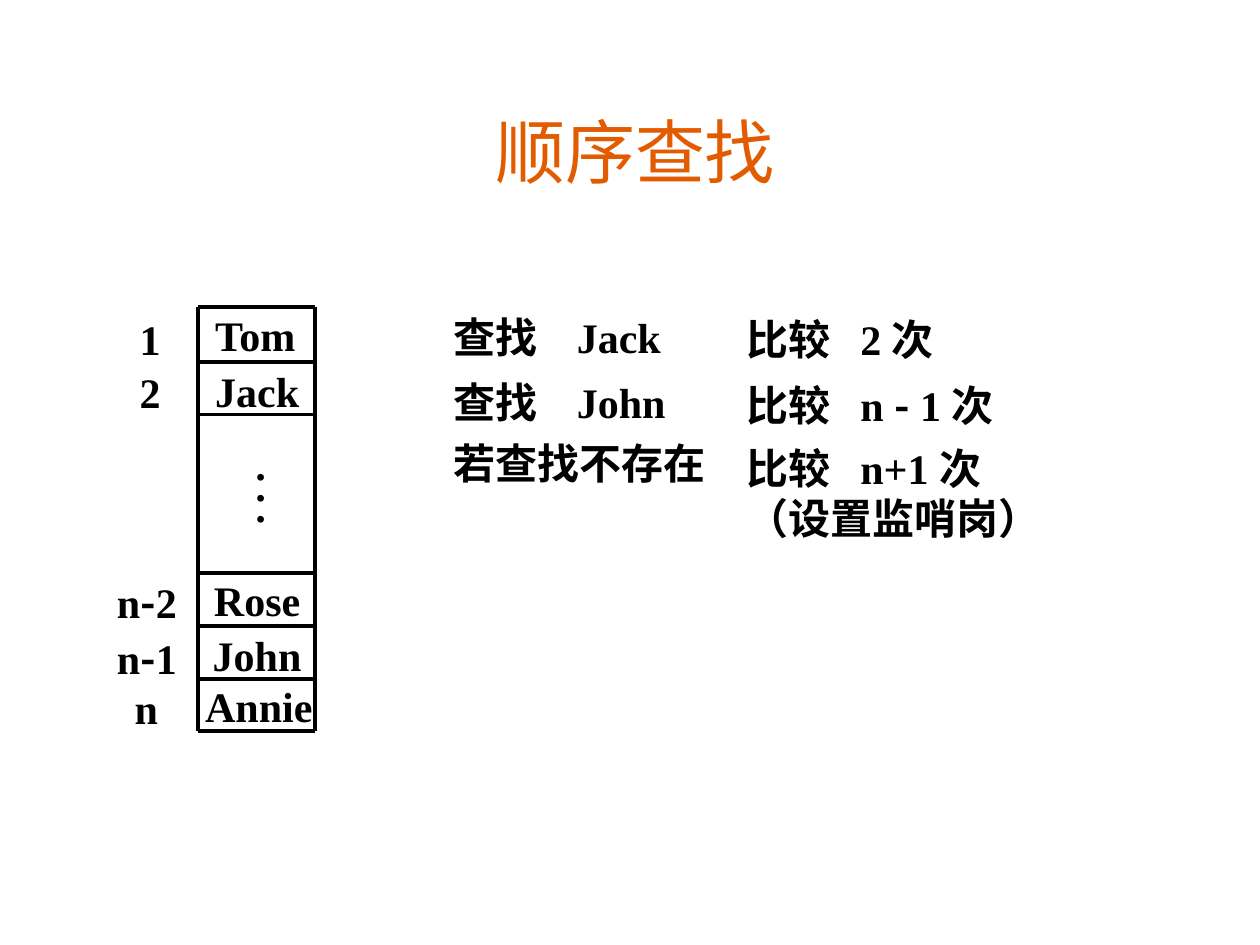
from lxml.etree import SubElement
from pptx import Presentation
from pptx.dml.color import RGBColor
from pptx.enum.shapes import MSO_CONNECTOR
from pptx.enum.text import MSO_ANCHOR, PP_ALIGN
from pptx.oxml.ns import qn
from pptx.util import Inches, Pt

BLACK = "000000"
ORANGE = "E25B00"
SERIF = "Times New Roman"
SANS = "Noto Sans CJK SC"


def color(value):
    return RGBColor.from_string(value)


def add_run(p, text, size, font, fill, bold):
    r = p.add_run()
    r.text = text
    r.font.size = Pt(size)
    r.font.name = font
    r.font.bold = bold
    r.font.color.rgb = color(fill)
    SubElement(r._r.get_or_add_rPr(), qn("a:ea")).set("typeface", SANS)


def add_text(slide, x, y, w, h, text, size=24, font=SERIF, fill=BLACK, bold=True, tab=None):
    s = slide.shapes.add_textbox(Inches(x), Inches(y), Inches(w), Inches(h))
    tf = s.text_frame
    tf.word_wrap = True
    p = tf.paragraphs[0]
    if tab:
        tabs = SubElement(p._p.get_or_add_pPr(), qn("a:tabLst"))
        SubElement(tabs, qn("a:tab"), pos=str(Inches(tab)), algn="l")
    before, dash, after = text.partition("-")
    for part, face in ((before, font), (dash, SANS), (after, font)):
        if part:
            add_run(p, part, size, face, fill, bold)
    return tf


def add_line(slide, x1, y1, x2, y2):
    s = slide.shapes.add_connector(
        MSO_CONNECTOR.STRAIGHT, Inches(x1), Inches(y1), Inches(x2), Inches(y2))
    s.line.color.rgb = color(BLACK)
    s.line.width = Pt(2.25)
    SubElement(s._element.spPr, qn("a:effectLst"))


def add_title(slide, x, y, w, h):
    tf = add_text(slide, x, y, w, h, "顺序查找", 40, "Comic Neue", ORANGE, False)
    tf.vertical_anchor = MSO_ANCHOR.BOTTOM
    tf.paragraphs[0].alignment = PP_ALIGN.CENTER


def add_name_list(slide, x, y, w, h):
    for edge in (x, x + w):
        add_line(slide, edge, y, edge, y + h)
    for offset in (0, 0.43, 0.85, 2.11, 2.53, 2.95, h):
        add_line(slide, x, y + offset, x + w, y + offset)

    entries = [
        ("1", -0.56, 0, "Tom", 0.04, -0.03),
        ("2", -0.56, 0.42, "Jack", 0.04, 0.41),
        ("n-2", -0.74, 2.09, "Rose", 0.03, 2.07),
        ("n-1", -0.74, 2.53, "John", 0.02, 2.51),
        ("n", -0.6, 2.93, "Annie", -0.04, 2.91),
    ]
    for index, index_x, index_y, name, name_x, name_y in entries:
        add_text(slide, x + index_x, y + index_y, 0.74, 0.5, index)
        add_text(slide, x + name_x, y + name_y, 1.4, 0.5, name)

    tf = add_text(slide, x + 0.26, y + 1.21, 0.6, 1.09, ". . .")
    tf.margin_left = tf.margin_right = Inches(0.05)
    tf.margin_top = tf.margin_bottom = Inches(0.1)
    tf._txBody.bodyPr.set("vert", "eaVert")


def add_comparisons(slide, x, y, w):
    result_x = x + 2.33
    rows = [
        ("查找\tJack", 0, "比较\t2 次", 0.02),
        ("查找\tJohn", 0.52, "比较\tn - 1 次", 0.54),
        ("若查找不存在", 1, "比较\tn+1 次 （设置监哨岗）", 1.04),
    ]
    for query, query_y, result, result_y in rows:
        add_text(slide, x, y + query_y, 2.33, 0.5, query, tab=0.98)
        add_text(slide, result_x, y + result_y, w - 2.33, 0.5, result, tab=0.9)


def main():
    prs = Presentation()
    prs.slide_width = Inches(10)
    prs.slide_height = Inches(7.5)
    slide = prs.slides.add_slide(prs.slide_layouts[6])
    add_name_list(slide, 1.57, 2.44, 0.93, 3.36)
    add_comparisons(slide, 3.5, 2.42, 5)
    add_title(slide, 0.75, 0.75, 8.58, 0.83)
    prs.save("out.pptx")


if __name__ == "__main__":
    main()
